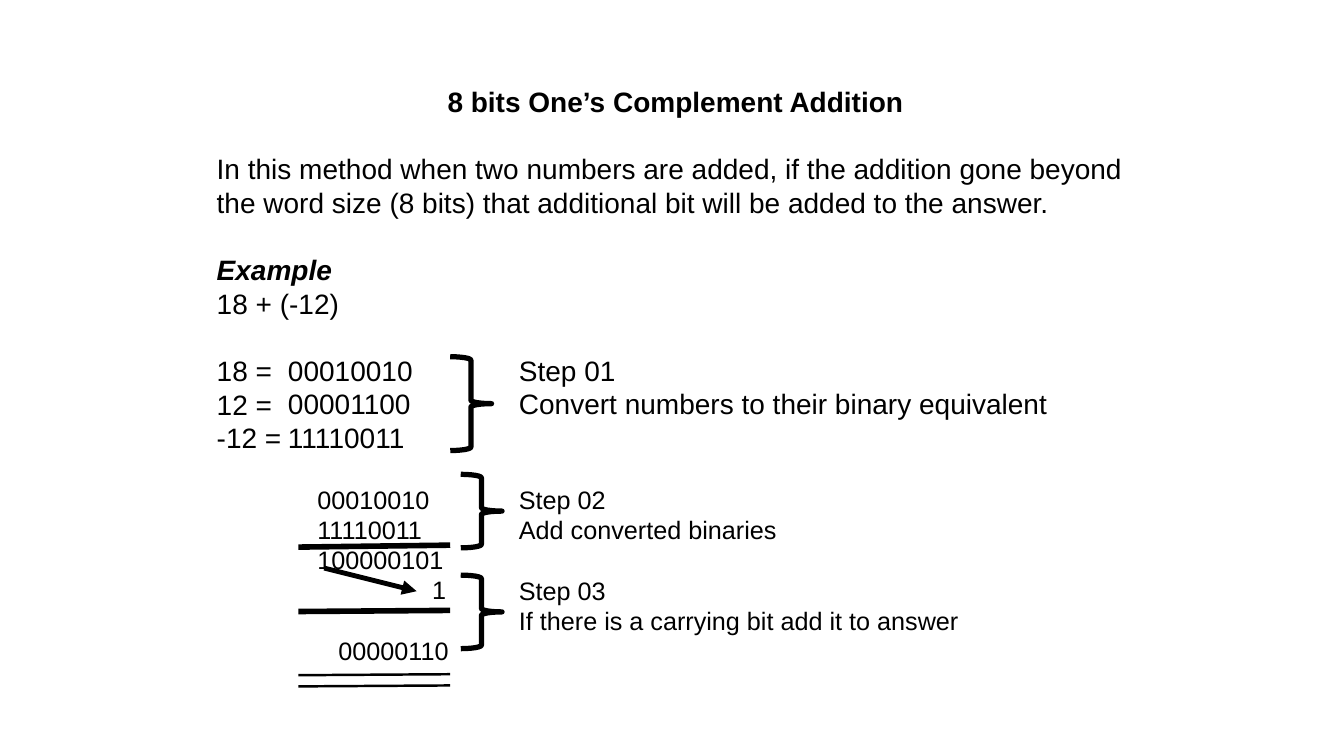
import pptx
import pptx.dml.color
import pptx.enum.shapes
import pptx.enum.text
import pptx.oxml.ns
import pptx.util
from lxml import etree

Pt = pptx.util.Pt
qn = pptx.oxml.ns.qn
BLACK = "000000"
FONT = "Arial"
LINE_PITCH = 1.2  # line height as a multiple of the text size

# Rows of each column: text, size, space before, indent
LESSON = [
    ("In this method when two numbers are added, if the addition gone beyond the word size "
     "(8 bits) that additional bit will be added to the answer.", 20, 0, 0),
    ("Example", 20, 24, 0),
    ("18 + (-12)", 20, 0, 0),
    ("18 =", 20, 24, 0),
    ("12 =", 20, 0, 0),
    ("-12 =", 20, 0, 0),
]
BINARIES = [(bits, 20, 0, 0) for bits in ("00010010", "00001100", "11110011")]
SUMS = [
    ("00010010", 18, 0, 0),
    ("11110011", 18, 0, 0),
    ("100000101", 18, 0, 0),
    ("1", 18, 0, 82),
    ("00000110", 18, 21.6, 15),
]
STEPS = [
    ("Step 01", 20, 0, 0),
    ("Convert numbers to their binary equivalent", 20, 0, 0),
    ("Step 02", 18, 45.6, 0),
    ("Add converted binaries", 18, 0, 0),
    ("Step 03", 18, 21.6, 0),
    ("If there is a carrying bit add it to answer", 18, 0, 0),
]


def color(hex_code):
    return pptx.dml.color.RGBColor.from_string(hex_code)


def open_frame(holder, left, top, width, height):
    holder.left, holder.top = Pt(left), Pt(top)
    holder.width, holder.height = Pt(width), Pt(height)
    frame = holder.text_frame
    frame.word_wrap = True
    frame.auto_size = pptx.enum.text.MSO_AUTO_SIZE.NONE
    frame.vertical_anchor = pptx.enum.text.MSO_ANCHOR.TOP
    return frame


def write(paragraph, text, size, bold=False, italic=False):
    paragraph.line_spacing = Pt(size * LINE_PITCH)
    run = paragraph.add_run()
    run.text = text
    font = run.font
    font.name, font.size, font.bold, font.italic = FONT, Pt(size), bold, italic
    font.color.rgb = color(BLACK)


def fill_rows(frame, rows):
    for index, (text, size, before, indent) in enumerate(rows):
        paragraph = frame.add_paragraph() if index else frame.paragraphs[0]
        paragraph.alignment = pptx.enum.text.PP_ALIGN.LEFT
        paragraph.space_before, paragraph.space_after = Pt(before), Pt(0)
        strong = text == "Example"
        write(paragraph, text, size, strong, strong)
        # No bullet, indented from the left edge only
        properties = paragraph._p.get_or_add_pPr()
        properties.set("marL", str(int(Pt(indent))))
        properties.set("indent", "0")
        etree.SubElement(properties, qn("a:buNone"))


def add_heading(slide, left, top, width):
    frame = open_frame(slide.shapes.title, left, top, width, 36)
    paragraph = frame.paragraphs[0]
    paragraph.alignment = pptx.enum.text.PP_ALIGN.CENTER
    write(paragraph, "8 bits One’s Complement Addition", 20, bold=True)


def add_lesson(slide, left, top, width, height):
    fill_rows(open_frame(slide.placeholders[1], left, top, width, height), LESSON)


def add_column(slide, left, top, width, height, rows):
    column = slide.shapes.add_textbox(0, 0, 0, 0)
    fill_rows(open_frame(column, left, top, width, height), rows)


def add_stroke(slide, start, end, weight, arrow=False):
    stroke = slide.shapes.add_connector(
        pptx.enum.shapes.MSO_CONNECTOR.STRAIGHT, *(Pt(value) for value in start + end))
    stroke.line.color.rgb = color(BLACK)
    stroke.line.width = Pt(weight)
    if arrow:
        etree.SubElement(stroke.line._get_or_add_ln(), qn("a:tailEnd"), type="triangle")
    etree.SubElement(stroke._element.spPr, qn("a:effectLst"))


def add_sum_rules(slide, left, top):
    # Rules under the sums and the double rule under the answer
    for y, rise, weight in [(334, 1.4, 4), (380, 0.8, 4), (425.5, 0.7, 1.75), (433.5, 0.7, 1.75)]:
        add_stroke(slide, (left + 65.5, top + y), (left + 174, top + y - rise), weight)
    # Carry bit moved to the units column
    add_stroke(slide, (left + 84, top + 349), (left + 150, top + 365.5), 3.5, arrow=True)


def add_step_braces(slide, left, top):
    for x, y, height in [(174, 198, 67), (181.5, 282, 52.5), (181.5, 354, 52.5)]:
        brace = slide.shapes.add_shape(
            pptx.enum.shapes.MSO_SHAPE.LEFT_BRACE,
            Pt(left + x), Pt(top + y), Pt(29.5), Pt(height))
        brace.rotation = 180
        brace.shadow.inherit = False
        brace.fill.background()
        brace.line.color.rgb = color(BLACK)
        brace.line.width = Pt(3.75)


def main():
    deck = pptx.Presentation()
    deck.slide_width, deck.slide_height = Pt(960), Pt(540)
    slide = deck.slides.add_slide(deck.slide_layouts[1])
    left, top, width = 147.6, 56.8, 664
    add_heading(slide, left + 3, top, width)
    add_lesson(slide, left, top + 48, width, 224)
    add_column(slide, left + 51, top + 192, 110, 80, BINARIES)
    add_column(slide, left + 72, top + 285.4, 110, 138, SUMS)
    add_column(slide, left + 216, top + 192, width - 216, 210, STEPS)
    add_sum_rules(slide, left, top)
    add_step_braces(slide, left, top)
    deck.save("out.pptx")


if __name__ == "__main__":
    main()
